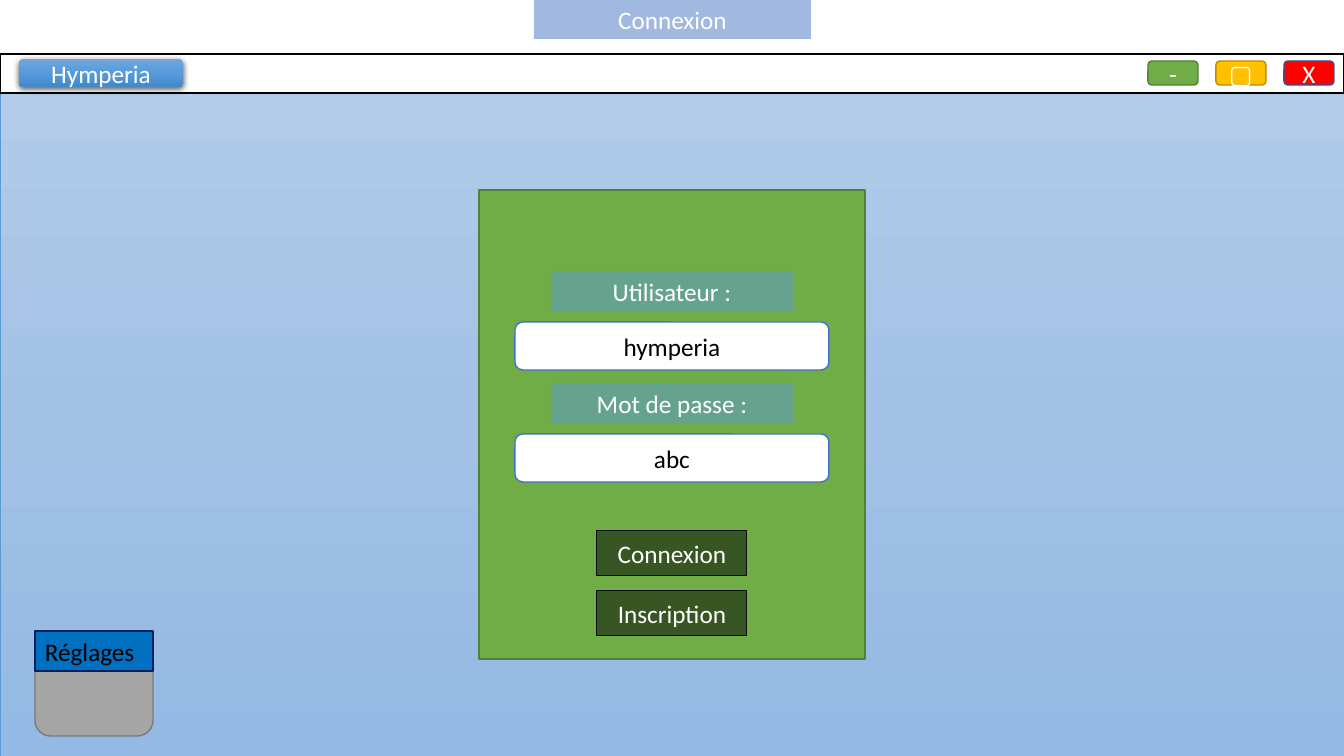
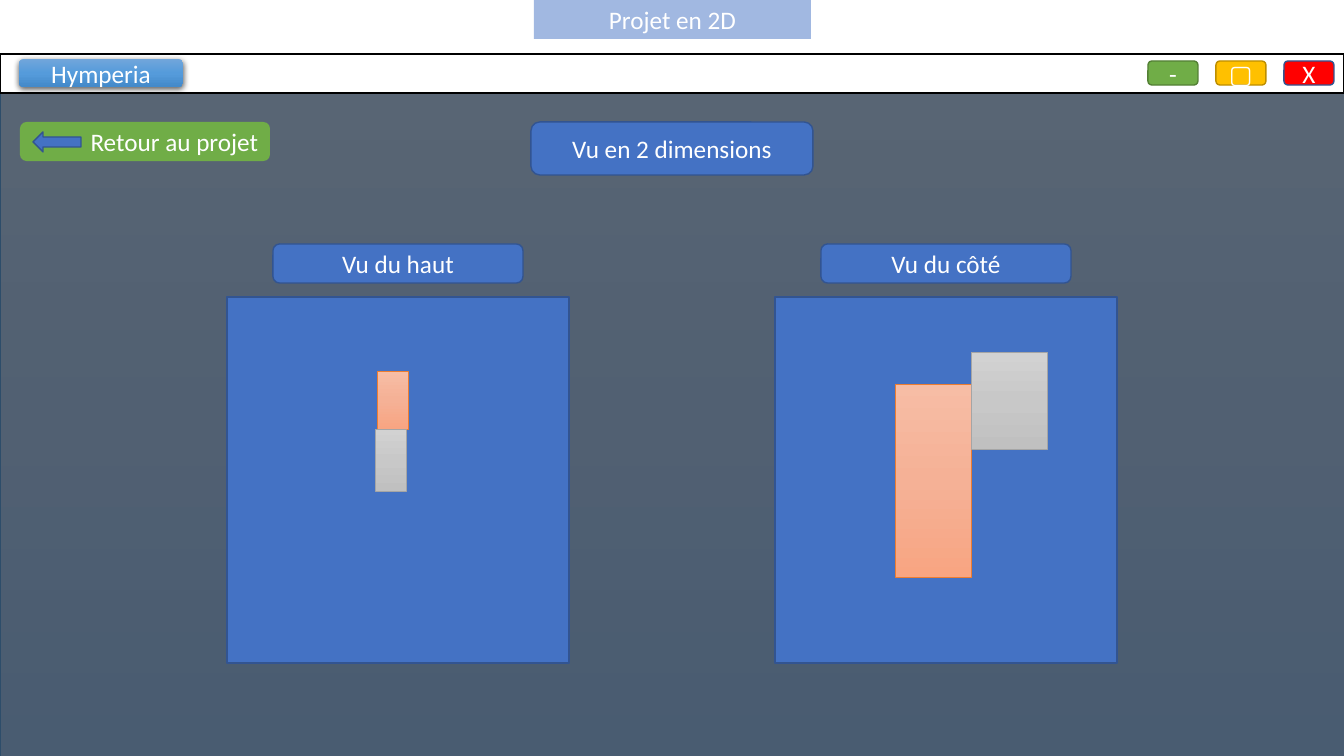
import copy
from dataclasses import dataclass

import pptx
import pptx.dml.color
import pptx.enum.shapes
import pptx.enum.text
import pptx.oxml
import pptx.oxml.ns
import pptx.util

EMU_PER_PX = 914400 / 100.8
SLIDE_WIDTH, SLIDE_HEIGHT = 1344, 756
BAR_TOP, BAR_HEIGHT = 54, 39
BODY_TOP = BAR_TOP + BAR_HEIGHT
CENTER = SLIDE_WIDTH // 2

RECTANGLE = pptx.enum.shapes.MSO_SHAPE.RECTANGLE
ROUNDED = pptx.enum.shapes.MSO_SHAPE.ROUNDED_RECTANGLE
LEFT_ARROW = pptx.enum.shapes.MSO_SHAPE.LEFT_ARROW
ALIGN = pptx.enum.text.PP_ALIGN
ANCHOR = pptx.enum.text.MSO_ANCHOR


@dataclass(frozen=True)
class Style:
    """Fill (one colour or a three-colour gradient), outline and text colour."""
    fill: str | tuple
    line: str | None = None
    line_width: float = 1
    opacity: int = 100
    text: str = "FFFFFF"


@dataclass(frozen=True)
class Theme:
    font: str = "Calibri"
    size: int = 18
    backdrop: Style = Style(("B1CBE9", "A3C1E5", "93B9E4"), "5B9BD5", 0.5)
    veil: Style = Style("000000", opacity=50)
    window_bar: Style = Style("FFFFFF", "000000")
    app_name: Style = Style(("71A6DB", "559BDB", "448ACA"))
    title: Style = Style("4472C4", opacity=50)
    green: Style = Style("70AD47", "538035")
    yellow: Style = Style("FFC000", "BD8E00")
    red: Style = Style("FF0000", "325491")
    blue: Style = Style("4472C4", "325491")
    field: Style = Style("FFFFFF", "4472C4", text="000000")
    field_label: Style = Style("5B9BD5", opacity=50)
    action: Style = Style("000000", "0D0D0D", 0.75, 50)
    settings: Style = Style("A5A5A5", "7A7A7A")
    settings_header: Style = Style("0070C0", "002060", text="000000")
    back: Style = Style("70AD47")
    orange_part: Style = Style(("F7BDA5", "F5B196", "F8A582"), "ED7D31", 0.5)
    gray_part: Style = Style(("D2D2D2", "C8C8C8", "C0C0C0"), "A5A5A5", 0.5)


THEME = Theme()


def px(length):
    return pptx.util.Emu(round(length * EMU_PER_PX))


def rgb(color):
    return pptx.dml.color.RGBColor.from_string(color)


def fill_gradient(shape, colors):
    """Fill from top to bottom with three evenly spaced colours."""
    shape.fill.gradient()
    shape.fill.gradient_angle = 270
    first = shape.element.spPr.xpath("./a:gradFill/a:gsLst/a:gs")[0]
    first.addnext(copy.deepcopy(first))
    for index, (stop, color) in enumerate(zip(shape.fill.gradient_stops, colors)):
        stop.position = index / 2
        stop.color.rgb = rgb(color)


def fill_solid(shape, color, opacity):
    shape.fill.solid()
    shape.fill.fore_color.rgb = rgb(color)
    if opacity < 100:
        color_element = shape.element.spPr.xpath("./a:solidFill/a:srgbClr")[0]
        alpha = pptx.oxml.parse_xml(
            f'<a:alpha {pptx.oxml.ns.nsdecls("a")} val="{opacity * 1000}"/>')
        color_element.append(alpha)


def add_shadow(shape):
    effects = shape.element.spPr.xpath("./a:effectLst")[0]
    effects.append(pptx.oxml.parse_xml(
        f'<a:outerShdw {pptx.oxml.ns.nsdecls("a")} blurRad="{pptx.util.Pt(4.5)}" '
        f'dist="{pptx.util.Pt(1.5)}" dir="5400000" algn="ctr" rotWithShape="0">'
        '<a:srgbClr val="000000"><a:alpha val="63000"/></a:srgbClr></a:outerShdw>'))


def write_text(shape, text, color, align, anchor):
    frame = shape.text_frame
    frame.word_wrap = True
    frame.vertical_anchor = anchor
    paragraph = frame.paragraphs[0]
    paragraph.text = text
    paragraph.alignment = align
    paragraph.font.name = THEME.font
    paragraph.font.size = pptx.util.Pt(THEME.size)
    paragraph.font.color.rgb = rgb(color)


def add_box(slide, box, style, text="", kind=RECTANGLE,
            align=ALIGN.CENTER, anchor=ANCHOR.MIDDLE):
    shape = slide.shapes.add_shape(kind, *map(px, box))
    shape.shadow.inherit = False
    if isinstance(style.fill, tuple):
        fill_gradient(shape, style.fill)
    else:
        fill_solid(shape, style.fill, style.opacity)
    if style.line:
        shape.line.color.rgb = rgb(style.line)
        shape.line.width = pptx.util.Pt(style.line_width)
    else:
        shape.line.fill.background()
    if text:
        write_text(shape, text, style.text, align, anchor)
    return shape


def centered(top, width, height, center=CENTER):
    return center - width // 2, top, width, height


def add_window(presentation, title):
    """Add a slide with the application window that every screen shares."""
    slide = presentation.slides.add_slide(presentation.slide_layouts[6])
    body = (0, BODY_TOP, SLIDE_WIDTH, SLIDE_HEIGHT - BODY_TOP)
    add_box(slide, body, THEME.backdrop)
    add_box(slide, (0, BAR_TOP, SLIDE_WIDTH, BAR_HEIGHT), THEME.window_bar)
    controls = [("-", THEME.green), ("▢", THEME.yellow), ("X", THEME.red)]
    for index, (symbol, style) in enumerate(controls):
        add_box(slide, (1148 + 68 * index, 61, 50, 24), style, symbol, ROUNDED)
    add_box(slide, centered(0, 277, 39), THEME.title, title)
    app_name = add_box(slide, (19, 59, 164, 28), THEME.app_name, "Hymperia", ROUNDED)
    add_shadow(app_name)
    return slide


def add_login_form(slide):
    add_box(slide, centered(190, 386, 469), THEME.green)
    fields = [("Utilisateur :", "hymperia"), ("Mot de passe :", "abc")]
    for index, (label, value) in enumerate(fields):
        top = 271 + 112 * index
        add_box(slide, centered(top, 242, 40), THEME.field_label, label)
        add_box(slide, centered(top + 51, 314, 48), THEME.field, value, ROUNDED)
    for index, action in enumerate(["Connexion", "Inscription"]):
        add_box(slide, centered(531 + 60 * index, 150, 45), THEME.action, action)


def add_settings(slide):
    add_box(slide, (35, 643, 118, 93), THEME.settings, kind=ROUNDED)
    add_box(slide, (35, 631, 118, 40), THEME.settings_header, "Réglages",
            align=ALIGN.LEFT, anchor=ANCHOR.TOP)


def add_back_button(slide):
    add_box(slide, (20, 122, 250, 39), THEME.back, "Retour au projet", ROUNDED,
            align=ALIGN.RIGHT)
    add_box(slide, (33, 132, 48, 20), THEME.blue, kind=LEFT_ARROW)


def add_view(slide, center, name, parts):
    add_box(slide, centered(297, 342, 366, center), THEME.blue)
    add_box(slide, centered(244, 250, 39, center), THEME.blue, name, ROUNDED)
    for box, style in parts:
        add_box(slide, box, style)


def build_login(presentation):
    slide = add_window(presentation, "Connexion")
    add_login_form(slide)
    add_settings(slide)


def build_project_2d(presentation):
    slide = add_window(presentation, "Projet en 2D")
    add_box(slide, (0, BODY_TOP, SLIDE_WIDTH, SLIDE_HEIGHT - BODY_TOP), THEME.veil)
    add_back_button(slide)
    add_box(slide, centered(122, 282, 53), THEME.blue, "Vu en 2 dimensions", ROUNDED)
    add_view(slide, 398, "Vu du haut", [
        ((377, 371, 31, 58), THEME.orange_part),
        ((375, 429, 31, 62), THEME.gray_part),
    ])
    add_view(slide, 946, "Vu du côté", [
        ((895, 384, 76, 193), THEME.orange_part),
        ((971, 352, 76, 97), THEME.gray_part),
    ])


def main():
    presentation = pptx.Presentation()
    presentation.slide_width = px(SLIDE_WIDTH)
    presentation.slide_height = px(SLIDE_HEIGHT)
    build_login(presentation)
    build_project_2d(presentation)
    presentation.save("out.pptx")


if __name__ == "__main__":
    main()
